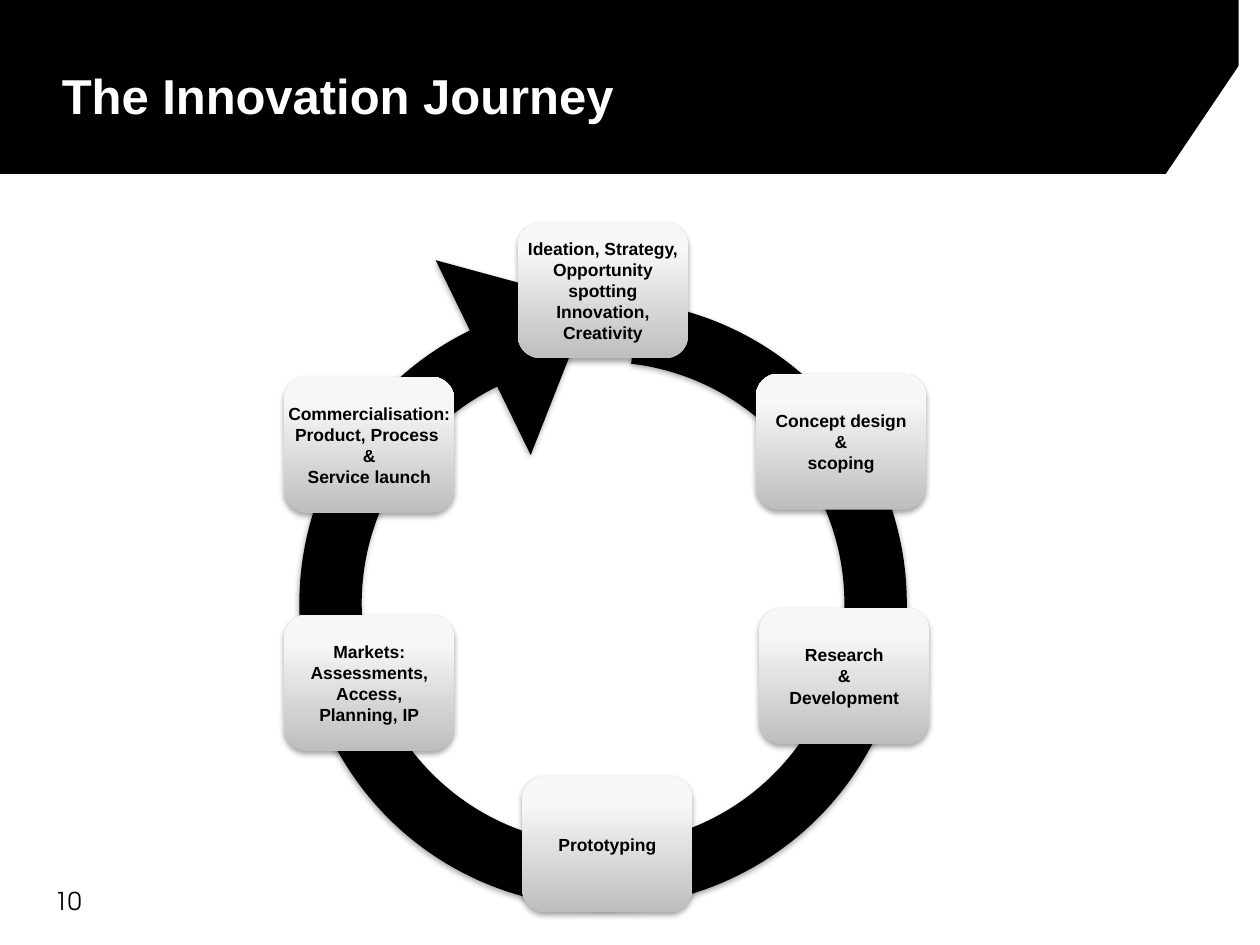
"""Build the Innovation Journey slide: six stages on a circular arrow."""
import math
from pptx import Presentation
from pptx import util as u
from pptx.dml.color import RGBColor
from pptx.enum import shapes, text
from pptx.oxml import parse_xml

COLORS = {"ink": "000000", "paper": "FFFFFF", "dark": "BEBEBE", "mid": "F7F7F7", "light": "F8F8F8"}
NS = 'xmlns:a="http://schemas.openxmlformats.org/drawingml/2006/main"'
SHADOW = (f'<a:effectLst {NS}><a:outerShdw blurRad="40000" dist="23000" dir="5400000" rotWithShape="0">'
          f'<a:srgbClr val="{COLORS["ink"]}"><a:alpha val="35000"/></a:srgbClr></a:outerShdw></a:effectLst>')
STOPS = "".join(f'<a:gs pos="{pos}"><a:srgbClr val="{COLORS[name]}"/></a:gs>'
                for pos, name in ((0, "dark"), (80000, "mid"), (100000, "light")))
GRADIENT = f'<a:gradFill {NS} rotWithShape="1"><a:gsLst>{STOPS}</a:gsLst><a:lin ang="16200000" scaled="0"/></a:gradFill>'

prs = Presentation()
prs.slide_width, prs.slide_height = u.Inches(10), u.Inches(7.5)
COL, ROW = prs.slide_width / 100, prs.slide_height / 75
s = prs.slides.add_slide(prs.slide_layouts[5])


def write(tf, lines, size=10, font="Arial", color="ink", bold=True,
          align=text.PP_ALIGN.CENTER, anchor=text.MSO_ANCHOR.MIDDLE, wrap=False):
    tf.word_wrap, tf.vertical_anchor = wrap, anchor
    for i, line in enumerate(lines.split("\n")):
        p = tf.add_paragraph() if i else tf.paragraphs[0]
        p.alignment = align
        r = p.add_run()
        r.text = line
        r.font.size, r.font.name, r.font.bold = u.Pt(size), font, bold
        r.font.color.rgb = RGBColor.from_string(COLORS[color])


def add(preset, x, y, w, h, fill="ink"):
    sp = s.shapes.add_shape(preset, round(x * COL), round(y * ROW), round(w * COL), round(h * ROW))
    sp.shadow.inherit = False
    sp.line.fill.background()
    sp.fill.solid()
    sp.fill.fore_color.rgb = RGBColor.from_string(COLORS[fill])
    return sp


add(shapes.MSO_SHAPE.RECTANGLE, 0, 0, 100.1, 13.8)
corner = add(shapes.MSO_SHAPE.ISOSCELES_TRIANGLE, 92.2, 2.7, 7.9, 11.6, "paper")
corner.adjustments[0] = 0.99
add(shapes.MSO_SHAPE.RECTANGLE, 98.3, 0, 1.7, 6.6, "paper")

title = s.shapes.title
title.left, title.top, title.width, title.height = 0, 0, round(80.3 * COL), round(13.8 * ROW)
tf = title.text_frame
tf.auto_size = text.MSO_AUTO_SIZE.NONE
tf.margin_left, tf.margin_top = round(4.9 * COL), round(5.2 * ROW)
write(tf, "The Innovation Journey", size=28, color="paper", align=text.PP_ALIGN.LEFT,
      anchor=text.MSO_ANCHOR.TOP, wrap=True)
s.shapes.element.append(title.element)

number = s.shapes.add_textbox(round(2.75 * COL), round(69.8 * ROW), round(4.7 * COL), round(5.2 * ROW))
write(number.text_frame, "10", size=14, font="TeX Gyre Adventor", bold=False,
      align=text.PP_ALIGN.RIGHT, anchor=text.MSO_ANCHOR.TOP, wrap=True)

cx, cy, inner, outer = 43.4, 45.1, 19.15, 24.1
turns = [0, -90, -180, -270, -327.3]
points = [(inner, 0)]
for radius, stops in ((inner, turns), (outer, turns[::-1])):
    if radius == outer:
        tail = math.radians(turns[-1])
        points.append((outer * math.cos(tail), outer * math.sin(tail)))
    for a, b in zip(map(math.radians, stops), map(math.radians, stops[1:])):
        pull = 4 / 3 * math.tan((b - a) / 4)
        for angle, reach in ((a, pull), (b, -pull), (b, 0)):
            points.append((radius * (math.cos(angle) - reach * math.sin(angle)),
                           radius * (math.sin(angle) + reach * math.cos(angle))))
points += [(30.3, 0), (21.9, 9.6), (13.1, 0)]
outline = [(round((cx + x) * COL), round((cy + y) * ROW)) for x, y in points]
builder = s.shapes.build_freeform(*outline[0])
builder.add_line_segments(outline[1:], close=True)
arrow = builder.convert_to_shape()
arrow.rotation = 244
arrow.fill.solid()
arrow.fill.fore_color.rgb = RGBColor.from_string(COLORS["ink"])
arrow.line.fill.background()
arrow.element.spPr.append(parse_xml(SHADOW))
lines = arrow.element.findall(".//{*}lnTo")
for i in [*range(0, 12, 3), *range(13, 25, 3)]:
    lines[i].tag = lines[i].tag.replace("lnTo", "cubicBezTo")
    for line in lines[i + 1:i + 3]:
        lines[i].append(line[0])
        line.getparent().remove(line)

stages = [
    (60, 29.65, "Concept design\n&\nscoping"),
    (60.25, 48.25, "Research\n&\nDevelopment"),
    (41.45, 61.6, "Prototyping"),
    (22.55, 48.8, "Markets:\nAssessments,\nAccess,\nPlanning, IP"),
    (22.55, 29.9, "Commercialisation:\nProduct, Process \n&\nService launch"),
    (41.1, 17.65, "Ideation, Strategy,\nOpportunity\nspotting\nInnovation,\nCreativity"),
]
for x, y, label in stages:
    box = add(shapes.MSO_SHAPE.FLOWCHART_ALTERNATE_PROCESS, x, y, 13.5, 10.8)
    spPr = box.element.spPr
    spPr.replace(spPr.find("{*}solidFill"), parse_xml(GRADIENT))
    spPr.replace(spPr.find("{*}effectLst"), parse_xml(SHADOW))
    write(box.text_frame, label)

prs.save("out.pptx")
